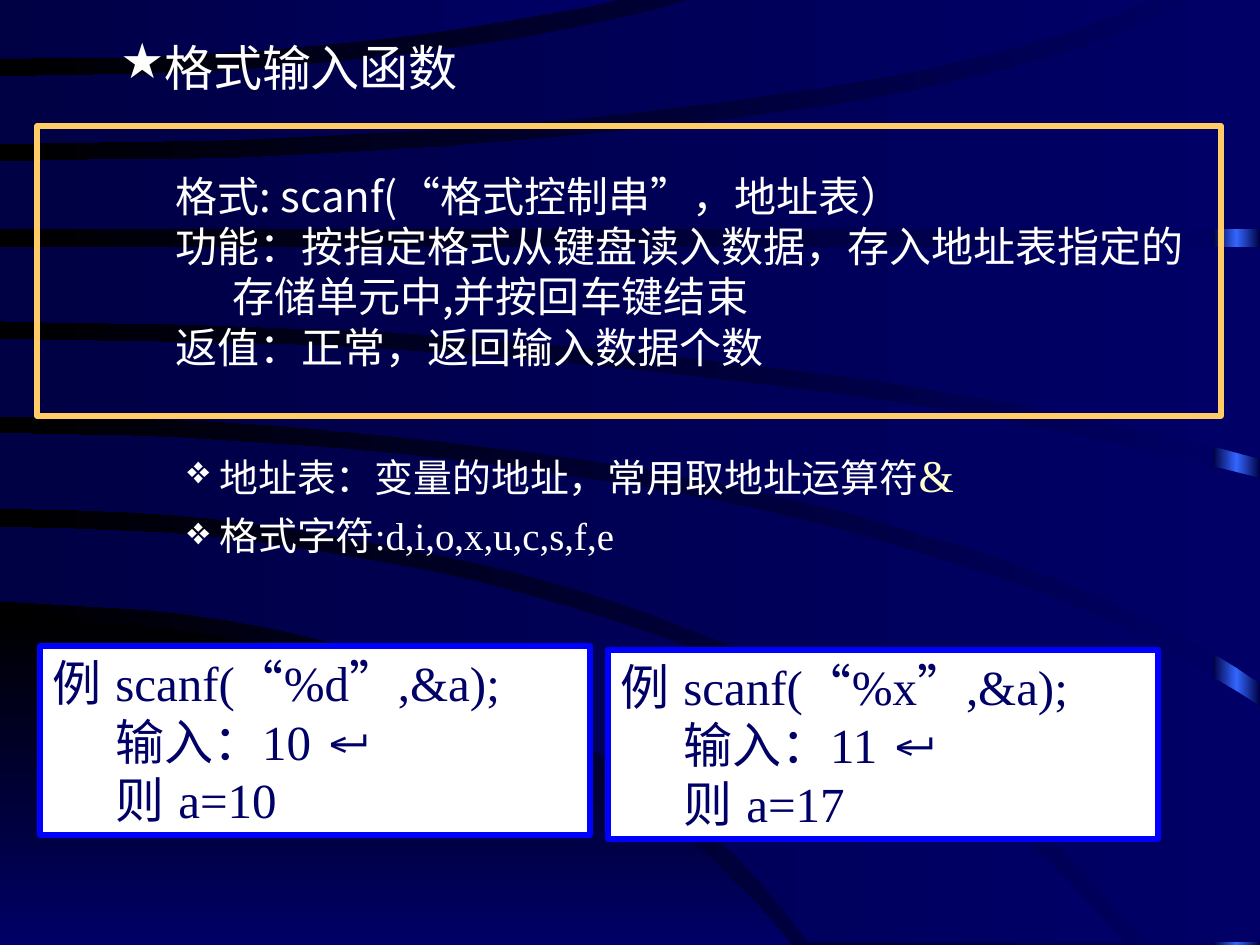
"""Build a slide on the scanf formatted-input function."""
import copy
from dataclasses import dataclass

import pptx
import pptx.dml.color
import pptx.enum.shapes
import pptx.enum.text
import pptx.oxml
import pptx.oxml.ns
import pptx.util

SCALE = 914400 / 126
WIDTH, HEIGHT = 1260, 945
Points = tuple[tuple[int, int], ...]


@dataclass(frozen=True)
class Theme:
    navy: str = "000066"
    deep: str = "000044"
    black: str = "000000"
    glow: str = "3366FF"
    white: str = "FFFFFF"
    cream: str = "FFFFCC"
    gold: str = "FFCC66"
    blue: str = "0000FF"
    serif: str = "Times New Roman"
    sans: str = "Noto Sans CJK SC"
    symbol: str = "Arial"
    title: float = 28
    syntax: float = 24
    item: float = 22.2
    ampersand: float = 25.9
    example: float = 28
    border: float = 3


T = Theme()


@dataclass(frozen=True)
class Band:
    upper: Points
    lower: Points = ()
    corners: Points = ()
    colors: tuple[str, ...] = (T.navy, T.deep)
    angle: int = 180


@dataclass(frozen=True)
class Run:
    text: str
    size: float
    color: str = T.white
    font: str = T.serif


@dataclass(frozen=True)
class Line:
    runs: tuple[Run, ...]
    indent: int = 0
    hang: int = 0
    before: float = 0
    bullet: str = ""
    tabs: tuple[int, ...] = ()


@dataclass(frozen=True)
class Block:
    box: tuple[int, int, int, int]
    lines: tuple[Line, ...]
    fill: str = ""
    border: str = ""
    middle: bool = False


BANDS = (
    Band(((-1, 619), (141, 626), (275, 648), (412, 685), (536, 738), (665, 820), (751, 898), (791, 945)),
         corners=((-1, 945),), colors=(T.black, T.navy), angle=270),
    Band(((0, 527), (164, 533), (314, 551), (481, 583), (649, 633), (811, 702), (965, 794), (1050, 863), (1125, 942)),
         ((0, 601), (186, 614), (338, 644), (474, 689), (620, 766), (733, 853), (809, 942))),
    Band(((0, 433), (181, 438), (364, 451), (537, 471), (718, 501), (873, 539), (1031, 590), (1139, 634), (1260, 706)),
         ((0, 508), (176, 515), (336, 536), (510, 571), (656, 616), (801, 677), (953, 764), (1056, 844), (1145, 942)),
         corners=((1260, 942),)),
    Band(((0, 339), (212, 343), (379, 349), (552, 362), (713, 379), (900, 403), (1082, 436), (1260, 478)),
         ((0, 416), (210, 421), (382, 435), (582, 459), (769, 494), (936, 538), (1075, 586), (1198, 645), (1260, 683))),
    Band(((0, 247), (1260, 247)),
         ((0, 321), (234, 326), (418, 334), (633, 352), (834, 375), (1024, 406), (1153, 432), (1260, 459))),
    Band(((0, 161), (198, 159), (360, 152), (529, 140), (698, 123), (862, 100), (1012, 68), (1124, 32), (1188, -3)),
         ((0, 229), (1260, 229)), corners=((1260, -3),)),
    Band(((0, 77), (202, 72), (336, 62), (483, 44), (607, 21), (701, -3)),
         ((0, 144), (223, 140), (389, 132), (536, 122), (687, 106), (861, 81), (1011, 49), (1113, 16), (1155, -3))),
    Band(((0, -3), (631, -3)), ((0, 59), (173, 55), (319, 45), (436, 32), (570, 10), (631, -3))),
)


def px(n: float) -> pptx.util.Emu:
    return pptx.util.Emu(round(n * SCALE))


def rgb(color: str) -> pptx.dml.color.RGBColor:
    return pptx.dml.color.RGBColor.from_string(color)


def gradient(fill, colors: tuple[str, ...], angle: int) -> None:
    fill.gradient()
    fill.gradient_angle = angle
    first = fill.gradient_stops[0]._gs
    for _ in colors[2:]:
        first.addnext(copy.deepcopy(first))
    for i, (stop, color) in enumerate(zip(fill.gradient_stops, colors)):
        stop.position = i / (len(colors) - 1)
        stop.color.rgb = rgb(color)


def curve(points: Points, steps: int = 4) -> list[tuple[float, float]]:
    padded = points[:1] + points + points[-1:]
    smooth = []
    for a, b, c, d in zip(padded, padded[1:], padded[2:], padded[3:]):
        for t in (i / steps for i in range(steps)):
            smooth.append(tuple(
                q + t / 2 * (r - p + t * (2 * p - 5 * q + 4 * r - u + t * (3 * (q - r) + u - p)))
                for p, q, r, u in zip(a, b, c, d)))
    return smooth + list(points[-1:])


def draw_band(s, band: Band) -> None:
    outline = curve(band.upper) + list(band.corners) + curve(band.lower)[::-1]
    builder = s.shapes.build_freeform(*outline[0], scale=SCALE)
    builder.add_line_segments(outline[1:], close=True)
    sp = builder.convert_to_shape()
    sp.shadow.inherit = False
    sp.line.fill.background()
    gradient(sp.fill, band.colors, band.angle)


def add_line(p, line: Line) -> None:
    p.alignment = pptx.enum.text.PP_ALIGN.LEFT
    p.space_before = pptx.util.Pt(line.before)
    pPr = p._p.get_or_add_pPr()
    pPr.set("marL", str(px(line.indent)))
    pPr.set("indent", str(-px(line.hang)))
    if line.bullet:
        pptx.oxml.ns.qn("a:buChar")
        clr = pPr.makeelement(pptx.oxml.ns.qn("a:buClr"), {})
        clr.append(clr.makeelement(pptx.oxml.ns.qn("a:srgbClr"), {"val": T.white}))
        pPr.append(clr)
        pPr.append(pPr.makeelement(pptx.oxml.ns.qn("a:buChar"), {"char": line.bullet}))
    if line.tabs:
        tabs = pPr.makeelement(pptx.oxml.ns.qn("a:tabLst"), {})
        for pos in line.tabs:
            tabs.append(tabs.makeelement(pptx.oxml.ns.qn("a:tab"), {"pos": str(px(pos)), "algn": "l"}))
        pPr.append(tabs)
    for run in line.runs:
        r = p.add_run()
        r.text = run.text
        r.font.size = pptx.util.Pt(run.size)
        r.font.name = run.font
        r.font.color.rgb = rgb(run.color)


def draw_block(s, block: Block) -> None:
    box = [px(n) for n in block.box]
    if block.border:
        sp = s.shapes.add_shape(pptx.enum.shapes.MSO_SHAPE.RECTANGLE, *box)
        sp.shadow.inherit = False
        sp.line.color.rgb = rgb(block.border)
        sp.line.width = pptx.util.Pt(T.border)
        sp.fill.background()
    else:
        sp = s.shapes.add_textbox(*box)
    if block.fill:
        sp.fill.solid()
        sp.fill.fore_color.rgb = rgb(block.fill)
    tf = sp.text_frame
    tf.word_wrap = True
    tf.margin_right = 0
    anchor = pptx.enum.text.MSO_ANCHOR
    tf.vertical_anchor = anchor.MIDDLE if block.middle else anchor.TOP
    for i, line in enumerate(block.lines):
        add_line(tf.paragraphs[0] if i == 0 else tf.add_paragraph(), line)


def syntax(text: str, indent: int = 126) -> Line:
    return Line((Run(text, T.syntax, font=T.sans),), indent)


def item(before: float, *runs: Run) -> Line:
    return Line(runs, 158, 32, before, "❖")


def example(left: int, top: int, code: str, typed: str, value: str) -> Block:
    def row(text: str, *tabs: int, extra: tuple[Run, ...] = ()) -> Line:
        return Line((Run(text, T.example, T.navy),) + extra, tabs=tabs)
    enter = Run("↵", T.example, T.navy, T.symbol)
    return Block((left, top, 550, 189), (
        row(f"例\tscanf(“{code}”,&a);", 93),
        row(f"\t输入：{typed} ", 78, extra=(enter,)),
        row(f"\t则\ta={value}", 67, 170)), T.white, T.blue)


BLOCKS = (
    Block((42, 31, 1071, 81), (Line((Run("格式输入函数", T.title),), 107, 41, 7, "★"),)),
    Block((37, 126, 1184, 290), (
        syntax("格式: scanf(“格式控制串”，地址表）"),
        syntax("功能：按指定格式从键盘读入数据，存入地址表指定的"),
        syntax("存储单元中,并按回车键结束", 183),
        syntax("返值：正常，返回输入数据个数")), border=T.gold, middle=True),
    Block((49, 441, 1071, 127), (
        item(7, Run("地址表：变量的地址，常用取地址运算符", T.item), Run("&", T.ampersand, T.cream)),
        item(6, Run("格式字符:d,i,o,x,u,c,s,f,e", T.item)))),
    example(40, 646, "%d", "10", "10"),
    example(608, 650, "%x", "11", "17"),
)


def main() -> None:
    prs = pptx.Presentation()
    prs.slide_width, prs.slide_height = px(WIDTH), px(HEIGHT)
    s = prs.slides.add_slide(prs.slide_layouts[6])
    gradient(s.background.fill, (T.navy, T.black), 180)
    draw_band(s, Band(((1213, 0), (1260, 0)), ((1213, 945), (1260, 945)), colors=(T.deep, T.glow, T.deep)))
    for band in BANDS:
        draw_band(s, band)
    for block in BLOCKS:
        draw_block(s, block)
    prs.save("out.pptx")


if __name__ == "__main__":
    main()
